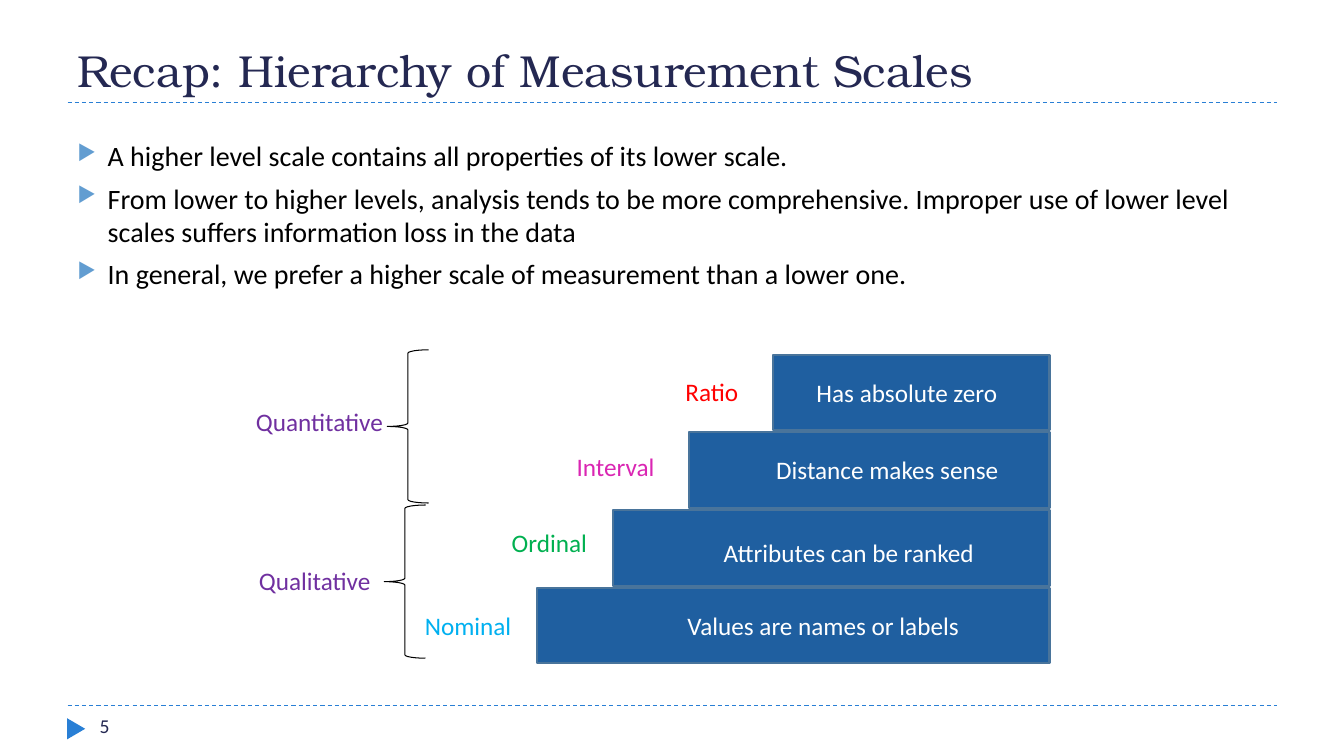
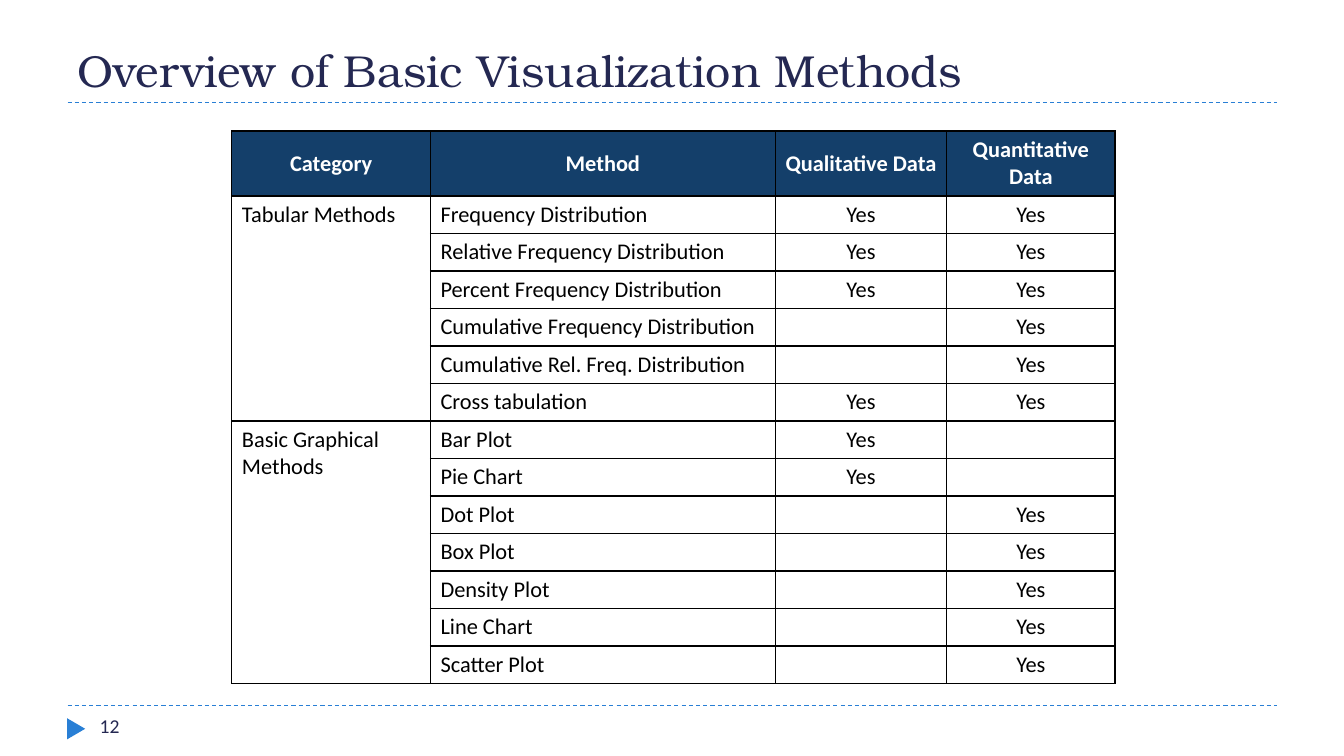
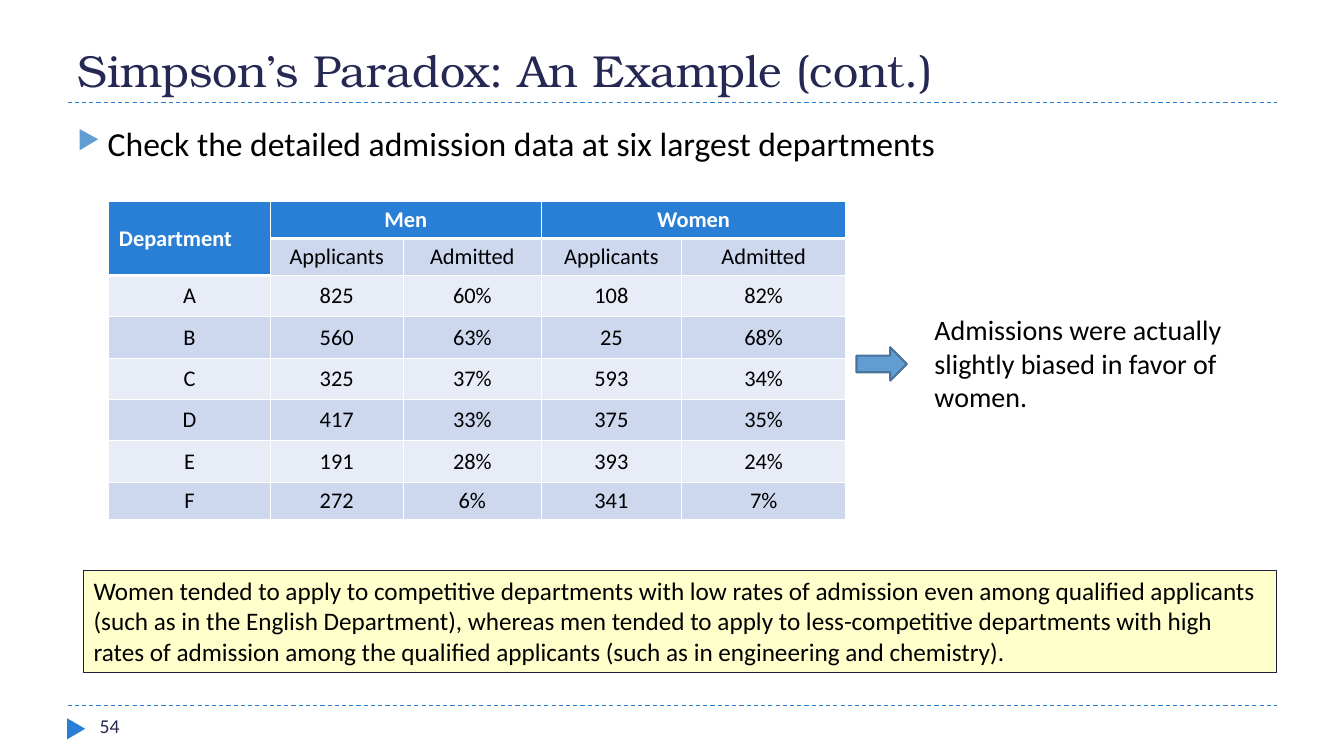
from dataclasses import dataclass

from lxml import etree
from pptx import Presentation
from pptx.dml.color import RGBColor
from pptx.enum.dml import MSO_LINE
from pptx.enum.shapes import MSO_CONNECTOR, MSO_SHAPE
from pptx.enum.text import MSO_ANCHOR, MSO_AUTO_SIZE, PP_ALIGN
from pptx.oxml.ns import qn
from pptx.shapes.autoshape import Shape
from pptx.slide import Slide
from pptx.table import Table, _Cell
from pptx.text.text import TextFrame, _Paragraph
from pptx.util import Inches, Pt

LEFT, CENTER, RIGHT = PP_ALIGN.LEFT, PP_ALIGN.CENTER, PP_ALIGN.RIGHT
TOP, MIDDLE, BOTTOM = MSO_ANCHOR.TOP, MSO_ANCHOR.MIDDLE, MSO_ANCHOR.BOTTOM
RECTANGLE, TRIANGLE = MSO_SHAPE.RECTANGLE, MSO_SHAPE.ISOSCELES_TRIANGLE
BRACE, DOWN_ARROW = MSO_SHAPE.RIGHT_BRACE, MSO_SHAPE.DOWN_ARROW
STRAIGHT, DASH = MSO_CONNECTOR.STRAIGHT, MSO_LINE.DASH
NO_FIT, GROW = MSO_AUTO_SIZE.NONE, MSO_AUTO_SIZE.SHAPE_TO_FIT_TEXT
TITLE_ONLY = 5


@dataclass(frozen=True)
class Theme:
    title_font: str = "TeX Gyre Bonum"
    body_font: str = "Calibri"
    title_size: float = 32
    lead_size: float = 24
    body_size: float = 20
    label_size: float = 18
    table_size: float = 16
    number_size: float = 14
    navy: str = "242852"
    accent: str = "297FD5"
    marker: str = "629DD1"
    outline: str = "49749B"
    step: str = "1F5FA0"
    header: str = "143F6A"
    band_dark: str = "CDD8EF"
    band_light: str = "E8ECF7"
    note: str = "FFFFCC"
    note_line: str = "1B1E3E"
    group: str = "7030A0"
    black: str = "000000"
    white: str = "FFFFFF"


THEME = Theme()


@dataclass(frozen=True)
class Box:
    left: float
    top: float
    width: float
    height: float

    def emu(self) -> tuple[int, int, int, int]:
        return (Inches(self.left), Inches(self.top), Inches(self.width), Inches(self.height))


@dataclass(frozen=True)
class Step:
    left: float
    meaning: str
    meaning_box: Box
    align: PP_ALIGN
    scale: str
    scale_left: float
    scale_top: float
    color: str


@dataclass(frozen=True)
class ScaleGroup:
    name: str
    name_left: float
    name_top: float
    brace: Box


@dataclass(frozen=True)
class Method:
    name: str
    qualitative: bool
    quantitative: bool


STEPS = (
    Step(5.33, "Values are names or labels", Box(6.25, 6.01, 3.83, 0.4), CENTER, "Nominal", 3.67, 6.01, "00B0F0"),
    Step(6.08, "Attributes can be ranked", Box(7.08, 5.28, 2.83, 0.4), LEFT, "Ordinal", 4.42, 5.18, "00B050"),
    Step(6.83, "Distance makes sense", Box(7.6, 4.46, 2.42, 0.4), LEFT, "Interval", 5.09, 4.43, "DA26B3"),
    Step(7.67, "Has absolute zero", Box(8, 3.69, 2.17, 0.4), LEFT, "Ratio", 5.92, 3.68, "FF0000"),
)
STEP_BASE, STEP_PITCH, STEP_HEIGHT, STEP_RIGHT = 5.83, 0.77, 0.75, 10.41

GROUPS = (
    ScaleGroup("Quantitative", 2.44, 3.98, Box(3.84, 3.47, 0.41, 1.52)),
    ScaleGroup("Qualitative", 2.47, 5.56, Box(3.81, 5.01, 0.41, 1.52)),
)

METHODS = {
    "Tabular Methods": (
        Method("Frequency Distribution", True, True),
        Method("Relative Frequency Distribution", True, True),
        Method("Percent Frequency Distribution", True, True),
        Method("Cumulative Frequency Distribution", False, True),
        Method("Cumulative Rel. Freq. Distribution", False, True),
        Method("Cross tabulation", True, True),
    ),
    "Basic Graphical Methods": (
        Method("Bar Plot", True, False),
        Method("Pie Chart", True, False),
        Method("Dot Plot", False, True),
        Method("Box Plot", False, True),
        Method("Density Plot", False, True),
        Method("Line Chart", False, True),
        Method("Scatter Plot", False, True),
    ),
}

ADMISSIONS = (
    ("A", "825", "60%", "108", "82%"),
    ("B", "560", "63%", "25", "68%"),
    ("C", "325", "37%", "593", "34%"),
    ("D", "417", "33%", "375", "35%"),
    ("E", "191", "28%", "393", "24%"),
    ("F", "272", "6%", "341", "7%"),
)


def rgb(color: str) -> RGBColor:
    return RGBColor.from_string(color)


def write(paragraph: _Paragraph, text: str, size: float, color: str, align: PP_ALIGN = LEFT,
          bold: bool = False, font: str = THEME.body_font) -> None:
    paragraph.alignment = align
    run = paragraph.add_run()
    run.text = text
    run.font.name = font
    run.font.size = Pt(size)
    run.font.bold = bold
    run.font.color.rgb = rgb(color)


def add_label(slide: Slide, box: Box, text: str, size: float, color: str,
              align: PP_ALIGN = LEFT, fit: MSO_AUTO_SIZE = GROW) -> None:
    frame = slide.shapes.add_textbox(*box.emu()).text_frame
    frame.word_wrap = True
    frame.auto_size = fit
    write(frame.paragraphs[0], text, size, color, align)


def add_figure(slide: Slide, kind: MSO_SHAPE, box: Box, fill: str | None = None, line: str | None = None,
               line_width: float = 1.5, rotation: float = 0) -> Shape:
    figure = slide.shapes.add_shape(kind, *box.emu())
    figure.shadow.inherit = False
    figure.rotation = rotation
    if fill:
        figure.fill.solid()
        figure.fill.fore_color.rgb = rgb(fill)
    else:
        figure.fill.background()
    if line:
        figure.line.color.rgb = rgb(line)
        figure.line.width = Pt(line_width)
    else:
        figure.line.fill.background()
    return figure


def add_rule(slide: Slide, top: float) -> None:
    rule = slide.shapes.add_connector(STRAIGHT, Inches(0.67), Inches(top), Inches(12.67), Inches(top))
    rule.line.color.rgb = rgb(THEME.accent)
    rule.line.width = Pt(0.75)
    rule.line.dash_style = DASH
    etree.SubElement(rule._element.spPr, qn("a:effectLst"))


def add_page(deck: Presentation, heading: str, number: int) -> Slide:
    slide = deck.slides.add_slide(deck.slide_layouts[TITLE_ONLY])
    for top in (7, 1.02):
        add_rule(slide, top)
    add_figure(slide, TRIANGLE, Box(0.65, 7.14, 0.21, 0.18), fill=THEME.accent, rotation=90)
    title = slide.shapes.title
    title.left, title.top, title.width, title.height = Box(0.67, 0.17, 12, 0.84).emu()
    frame: TextFrame = title.text_frame
    frame.auto_size = NO_FIT
    frame.vertical_anchor = BOTTOM
    write(frame.paragraphs[0], heading, THEME.title_size, THEME.navy, font=THEME.title_font)
    add_label(slide, Box(0.89, 7.03, 2.89, 0.32), str(number), THEME.number_size, THEME.navy, fit=NO_FIT)
    return slide


def add_bullets(slide: Slide, box: Box, points: tuple[str, ...], size: float) -> None:
    frame = slide.shapes.add_textbox(*box.emu()).text_frame
    frame.word_wrap = True
    for index, point in enumerate(points):
        paragraph = frame.add_paragraph() if index else frame.paragraphs[0]
        paragraph.space_before = Pt(6)
        write(paragraph, point, size, THEME.black)
        properties = paragraph._p.get_or_add_pPr()
        properties.set("marL", str(Inches(0.3)))
        properties.set("indent", str(Inches(-0.3)))
        color = etree.SubElement(properties, qn("a:buClr"))
        etree.SubElement(color, qn("a:srgbClr"), val=THEME.marker)
        etree.SubElement(properties, qn("a:buSzPct"), val="76000")
        etree.SubElement(properties, qn("a:buChar"), char="▶")


def set_borders(cell: _Cell, color: str, bottom_width: float = 1) -> None:
    properties = cell._tc.get_or_add_tcPr()
    widths = {"a:lnL": 1, "a:lnR": 1, "a:lnT": 1, "a:lnB": bottom_width}
    for index, (side, width) in enumerate(widths.items()):
        border = etree.Element(qn(side), w=str(Pt(width)))
        fill = etree.SubElement(border, qn("a:solidFill"))
        etree.SubElement(fill, qn("a:srgbClr"), val=color)
        properties.insert(index, border)


def fill_cell(cell: _Cell, text: str, border: str, fill: str | None = None, color: str = THEME.black,
              align: PP_ALIGN = CENTER, anchor: MSO_ANCHOR = MIDDLE, bold: bool = False,
              bottom_width: float = 1) -> None:
    if fill:
        cell.fill.solid()
        cell.fill.fore_color.rgb = rgb(fill)
    else:
        cell.fill.background()
    set_borders(cell, border, bottom_width)
    cell.vertical_anchor = anchor
    paragraph = cell.text_frame.paragraphs[0]
    if text:
        write(paragraph, text, THEME.table_size, color, align, bold)
    else:
        etree.SubElement(paragraph._p, qn("a:endParaRPr"), sz=str(THEME.table_size * 100))


def add_grid(slide: Slide, left: float, top: float, columns: tuple[float, ...],
             rows: tuple[float, ...]) -> Table:
    box = Box(left, top, sum(columns), sum(rows))
    table = slide.shapes.add_table(len(rows), len(columns), *box.emu()).table
    table.first_row = False
    table.horz_banding = False
    for column, width in zip(table.columns, columns):
        column.width = Inches(width)
    for row, height in zip(table.rows, rows):
        row.height = Inches(height)
    return table


def build_scales(deck: Presentation) -> None:
    slide = add_page(deck, "Recap: Hierarchy of Measurement Scales", 5)
    add_bullets(slide, Box(0.67, 1.33, 12, 1.74), (
        "A higher level scale contains all properties of its lower scale.",
        "From lower to higher levels, analysis tends to be more comprehensive. "
        "Improper use of lower level scales suffers information loss in the data",
        "In general, we prefer a higher scale of measurement than a lower one.",
    ), THEME.body_size)
    for level, step in enumerate(STEPS):
        stair = Box(step.left, STEP_BASE - level * STEP_PITCH, STEP_RIGHT - step.left, STEP_HEIGHT)
        add_figure(slide, RECTANGLE, stair, THEME.step, THEME.outline)
    for step in STEPS:
        add_label(slide, step.meaning_box, step.meaning, THEME.label_size, THEME.white, step.align)
        add_label(slide, Box(step.scale_left, step.scale_top, 1.5, 0.4), step.scale,
                  THEME.label_size, step.color, RIGHT)
    for group in GROUPS:
        add_label(slide, Box(group.name_left, group.name_top, 1.58, 0.4), group.name,
                  THEME.label_size, THEME.group)
        add_figure(slide, BRACE, group.brace, line=THEME.black, line_width=0.75, rotation=180)


def build_methods(deck: Presentation) -> None:
    slide = add_page(deck, "Overview of Basic Visualization Methods", 12)
    method_count = sum(len(methods) for methods in METHODS.values())
    table = add_grid(slide, 2.3, 1.3, (1.97, 3.42, 1.7, 1.67), (0.58,) + (0.35,) * method_count)
    for column, heading in enumerate(("Category", "Method", "Qualitative Data", "Quantitative Data")):
        fill_cell(table.cell(0, column), heading, THEME.black, THEME.header, THEME.white, bold=True)
    row = 1
    for category, methods in METHODS.items():
        table.cell(row, 0).merge(table.cell(row + len(methods) - 1, 0))
        for index, method in enumerate(methods):
            texts = ("" if index else category, method.name,
                     "Yes" if method.qualitative else "", "Yes" if method.quantitative else "")
            for column, text in enumerate(texts):
                fill_cell(table.cell(row, column), text, THEME.black,
                          align=LEFT if column < 2 else CENTER, anchor=TOP)
            row += 1


def build_paradox(deck: Presentation) -> None:
    slide = add_page(deck, "Simpson’s Paradox: An Example (cont.)", 54)
    add_bullets(slide, Box(0.67, 1.17, 12, 0.58),
                ("Check the detailed admission data at six largest departments",), THEME.lead_size)
    add_label(slide, Box(9.17, 3.05, 3.33, 1.11),
              "Admissions were actually slightly biased in favor of women.", THEME.body_size, THEME.black)
    add_figure(slide, DOWN_ARROW, Box(8.58, 3.36, 0.33, 0.5), THEME.marker, THEME.outline, rotation=270)

    table = add_grid(slide, 1.08, 2, (1.6, 1.32, 1.37, 1.39, 1.63), (0.36, 0.36) + (0.41,) * 5 + (0.36,))
    for first, last in (((0, 0), (1, 0)), ((0, 1), (0, 2)), ((0, 3), (0, 4))):
        table.cell(*first).merge(table.cell(*last))
    for column, heading in enumerate(("Department", "Men", "", "Women", "")):
        fill_cell(table.cell(0, column), heading, THEME.white, THEME.accent, THEME.white,
                  CENTER if column else LEFT, TOP if column else MIDDLE, True, 3)
    fill_cell(table.cell(1, 0), "", THEME.white, THEME.accent, bottom_width=3)
    for column, heading in enumerate(("Applicants", "Admitted") * 2, start=1):
        fill_cell(table.cell(1, column), heading, THEME.white, THEME.band_dark)
    for index, department in enumerate(ADMISSIONS):
        band = THEME.band_dark if index % 2 else THEME.band_light
        for column, value in enumerate(department):
            fill_cell(table.cell(index + 2, column), value, THEME.white, band)

    note = add_figure(slide, RECTANGLE, Box(0.83, 5.66, 11.83, 1.01), THEME.note, THEME.note_line, 0.75)
    frame = note.text_frame
    frame.word_wrap = True
    frame.auto_size = GROW
    frame.vertical_anchor = TOP
    write(frame.paragraphs[0],
          "Women tended to apply to competitive departments with low rates of admission even among "
          "qualified applicants (such as in the English Department), whereas men tended to apply to "
          "less-competitive departments with high rates of admission among the qualified applicants "
          "(such as in engineering and chemistry).", THEME.label_size, THEME.black)


def main() -> None:
    deck = Presentation()
    deck.slide_width, deck.slide_height = Inches(13.33), Inches(7.5)
    build_scales(deck)
    build_methods(deck)
    build_paradox(deck)
    deck.save("out.pptx")


if __name__ == "__main__":
    main()
